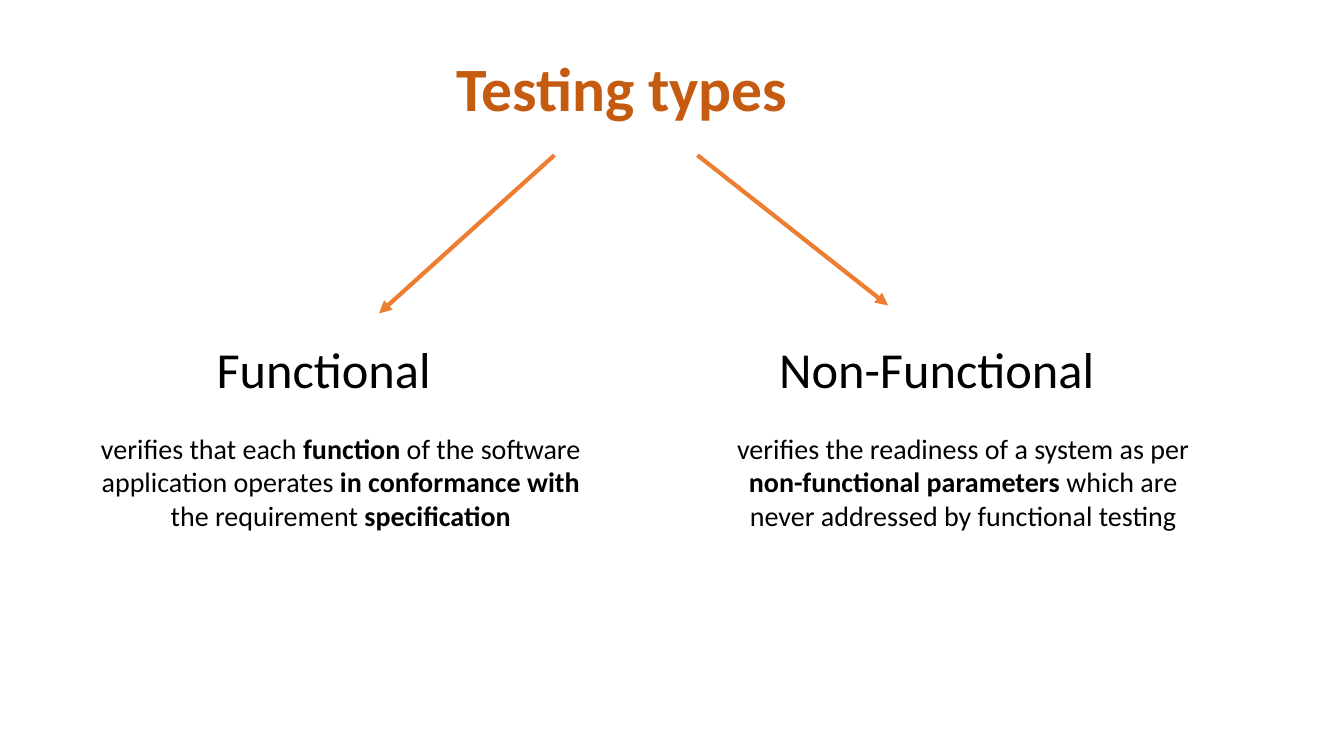
from lxml.etree import SubElement
from pptx import Presentation
from pptx.dml.color import RGBColor
from pptx.enum.shapes import MSO_CONNECTOR
from pptx.enum.text import MSO_ANCHOR, MSO_AUTO_SIZE, PP_ALIGN
from pptx.oxml.ns import qn
from pptx.util import Pt

COLORS = {"title": "C55A11", "arrow": "ED7D31", "text": "000000"}
FONT = "Calibri"

TITLE = "Testing types"
TITLE_BOX = (30.24, 28.8, 828, 72.72)

# Boxes are left, top, width, height; runs are (text, bold).
BRANCHES = [
    {
        "heading": "Functional",
        "heading_box": (147.6, 238.32, 177.84, 51.12),
        "runs": [
            ("verifies that each ", False),
            ("function", True),
            (" of the software application operates ", False),
            ("in conformance with ", True),
            ("the requirement ", False),
            ("specification", True),
        ],
        "runs_box": (60.48, 304.56, 365.76, 79.92),
        "arrow": (396, 110.88, 270.72, 223.92),
    },
    {
        "heading": "Non-Functional",
        "heading_box": (549.36, 238.32, 248.4, 51.12),
        "runs": [
            ("verifies the readiness of a system as per ", False),
            ("non-functional parameters ", True),
            ("which are never addressed by functional testing", False),
        ],
        "runs_box": (518.4, 304.56, 339.12, 79.92),
        "arrow": (498.24, 110.88, 634.32, 218.16),
    },
]


def write(tf, runs, size, color="text", align=PP_ALIGN.LEFT, spacing=1.0):
    tf.word_wrap = True
    p = tf.paragraphs[0]
    p.alignment = align
    p.line_spacing = spacing
    for text, bold in runs:
        r = p.add_run()
        r.text = text
        r.font.name = FONT
        r.font.size = Pt(size)
        r.font.bold = bold
        r.font.color.rgb = RGBColor.from_string(COLORS[color])


def add_text(s, box, runs, size, **fmt):
    tf = s.shapes.add_textbox(*map(Pt, box)).text_frame
    write(tf, runs, size, **fmt)
    tf.auto_size = MSO_AUTO_SIZE.SHAPE_TO_FIT_TEXT


def add_arrow(s, ends):
    line = s.shapes.add_connector(MSO_CONNECTOR.STRAIGHT, *map(Pt, ends))
    line.line.color.rgb = RGBColor.from_string(COLORS["arrow"])
    line.line.width = Pt(3)
    SubElement(line.line._get_or_add_ln(), qn("a:tailEnd"), type="triangle")
    SubElement(line._element.spPr, qn("a:effectLst"))


def main():
    prs = Presentation()
    prs.slide_width, prs.slide_height = Pt(960), Pt(540)
    s = prs.slides.add_slide(prs.slide_layouts[5])

    title = s.shapes.title
    title.left, title.top, title.width, title.height = map(Pt, TITLE_BOX)
    title.text_frame.vertical_anchor = MSO_ANCHOR.MIDDLE
    write(title.text_frame, [(TITLE, True)], 44, color="title",
          align=PP_ALIGN.CENTER, spacing=0.9)

    for branch in BRANCHES:
        add_arrow(s, branch["arrow"])
        add_text(s, branch["heading_box"], [(branch["heading"], False)], 36)
        add_text(s, branch["runs_box"], branch["runs"], 20,
                 align=PP_ALIGN.CENTER)

    prs.save("out.pptx")


if __name__ == "__main__":
    main()
